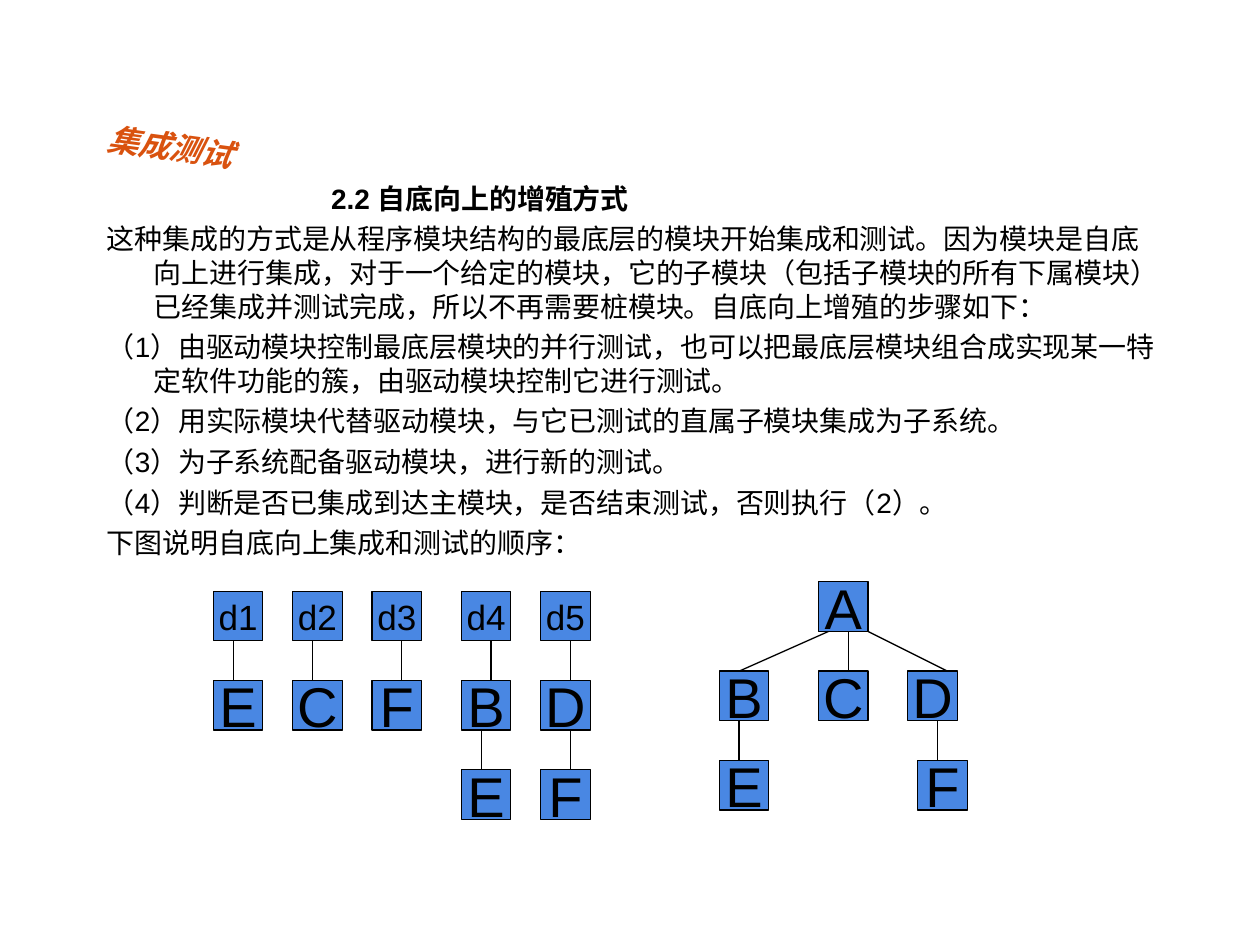
from lxml import etree
from pptx import Presentation
from pptx.dml.color import RGBColor
from pptx.enum.shapes import MSO_CONNECTOR, MSO_SHAPE
from pptx.enum.text import MSO_ANCHOR, MSO_AUTO_SIZE, PP_ALIGN
from pptx.oxml.ns import qn
from pptx.util import Cm, Pt

RECTANGLE = MSO_SHAPE.RECTANGLE
STRAIGHT = MSO_CONNECTOR.STRAIGHT
TOP, MIDDLE = MSO_ANCHOR.TOP, MSO_ANCHOR.MIDDLE
NO_AUTOFIT = MSO_AUTO_SIZE.NONE
LEFT, CENTER = PP_ALIGN.LEFT, PP_ALIGN.CENTER

BLACK, BLUE, ORANGE = "000000", "4987E3", "D9520F"
NODE_SIZE = 1
LEVEL_STEP = 1.8


def rgb(hex_color):
    return RGBColor.from_string(hex_color)


def write(paragraph, text, size=16, color=BLACK, bold=False, italic=False,
          align=LEFT, space_before=0):
    paragraph.alignment = align
    paragraph.space_before = Pt(space_before)
    run = paragraph.add_run()
    run.text = text
    run.font.name = "Arial"
    run.font.size = Pt(size)
    run.font.bold = bold
    run.font.italic = italic
    run.font.color.rgb = rgb(color)


prs = Presentation()
prs.slide_width, prs.slide_height = Cm(25.4), Cm(19.05)
slide = prs.slides.add_slide(prs.slide_layouts[1])

# Title and body text
title, body = slide.shapes.title, slide.placeholders[1]
for holder, (left, top, width, height) in (
    (title, (1.9, 2.51, 4.04, 1.02)),
    (body, (1.9, 3.53, 21.8, 14.25)),
):
    holder.left, holder.top = Cm(left), Cm(top)
    holder.width, holder.height = Cm(width), Cm(height)
    holder.text_frame.auto_size = NO_AUTOFIT
    holder.text_frame.vertical_anchor = TOP

title.rotation = 7.7
write(title.text_frame.paragraphs[0], "集成测试", size=18, color=ORANGE,
      bold=True, italic=True)

heading = "2.2 自底向上的增殖方式"
steps = [
    "这种集成的方式是从程序模块结构的最底层的模块开始集成和测试。因为模块是自底向上进行集成，"
    "对于一个给定的模块，它的子模块（包括子模块的所有下属模块）已经集成并测试完成，"
    "所以不再需要桩模块。自底向上增殖的步骤如下：",
    "（1）由驱动模块控制最底层模块的并行测试，也可以把最底层模块组合成实现某一特定软件功能的簇，"
    "由驱动模块控制它进行测试。",
    "（2）用实际模块代替驱动模块，与它已测试的直属子模块集成为子系统。",
    "（3）为子系统配备驱动模块，进行新的测试。",
    "（4）判断是否已集成到达主模块，是否结束测试，否则执行（2）。",
    "下图说明自底向上集成和测试的顺序：",
]
for index, text in enumerate([heading, *steps]):
    is_heading = index == 0
    paragraph = (body.text_frame.paragraphs[0] if is_heading
                 else body.text_frame.add_paragraph())
    write(paragraph, text, bold=is_heading, space_before=4)
    margin, indent = (4.52, 0) if is_heading else (0.95, -0.95)
    properties = paragraph._p.get_or_add_pPr()
    properties.set("marL", str(Cm(margin)))
    properties.set("indent", str(Cm(indent)))
    etree.SubElement(properties, qn("a:buNone"))

# Each test column: left edge, modules from the top, link offsets from the left edge
columns = [
    (4.3, ["d1", "E"], [0.4]),
    (5.9, ["d2", "C"], [0.4]),
    (7.5, ["d3", "F"], [0.6]),
    (9.3, ["d4", "B", "E"], [0.6, 0.4]),
    (10.9, ["d5", "D", "F"], [0.6, 0.6]),
]
columns_top, tree_top = 11.92, 11.73

# Module tree: name, left edge, level
nodes = [(name, left, tree_top + level * LEVEL_STEP) for name, left, level in (
    ("A", 16.5, 0),
    ("B", 14.5, 1), ("C", 16.5, 1), ("D", 18.3, 1),
    ("E", 14.5, 2), ("F", 18.5, 2),
)]
# Links: x at the upper module, x at the lower module, top of the upper module
links = [(x1, x2, tree_top + level * LEVEL_STEP) for x1, x2, level in (
    (16.7, 14.9, 0), (17.1, 17.1, 0), (17.5, 19.1, 0),
    (14.9, 14.9, 1), (18.9, 18.9, 1),
)]
for left, names, offsets in columns:
    for level, name in enumerate(names):
        nodes.append((name, left, columns_top + level * LEVEL_STEP))
    for level, offset in enumerate(offsets):
        links.append((left + offset, left + offset,
                      columns_top + level * LEVEL_STEP))

for name, left, top in nodes:
    node = slide.shapes.add_shape(RECTANGLE, Cm(left), Cm(top),
                                  Cm(NODE_SIZE), Cm(NODE_SIZE))
    node.shadow.inherit = False
    node.fill.solid()
    node.fill.fore_color.rgb = rgb(BLUE)
    node.line.color.rgb = rgb(BLACK)
    node.line.width = Pt(0.75)
    node.text_frame.word_wrap = False
    node.text_frame.vertical_anchor = MIDDLE
    write(node.text_frame.paragraphs[0], name,
          size=20 if name.startswith("d") else 32, align=CENTER)

for upper_x, lower_x, top in links:
    link = slide.shapes.add_connector(
        STRAIGHT, Cm(upper_x), Cm(top + NODE_SIZE),
        Cm(lower_x), Cm(top + LEVEL_STEP))
    link.line.color.rgb = rgb(BLACK)
    link.line.width = Pt(0.75)
    etree.SubElement(link._element.spPr, qn("a:effectLst"))

prs.save("out.pptx")
